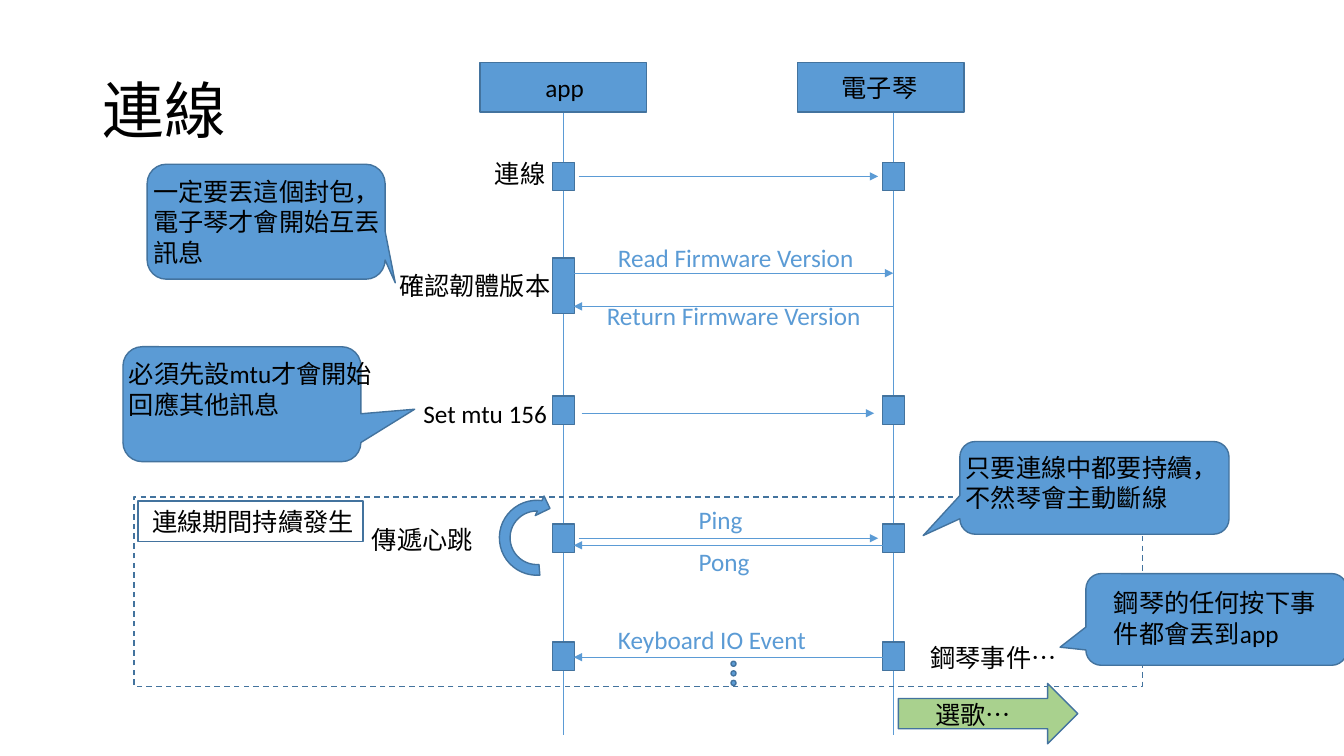
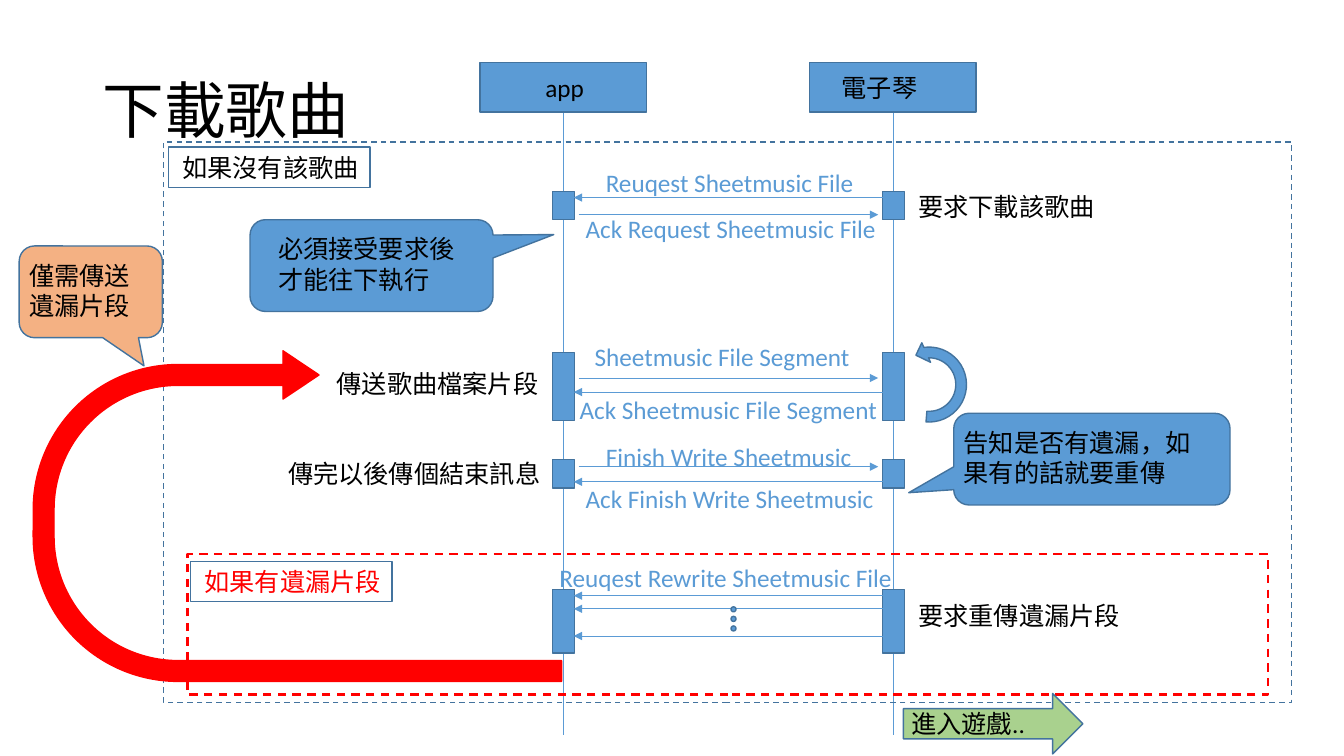
"""Build two sequence diagrams of an app talking to an electronic piano."""
from dataclasses import dataclass
from lxml.etree import SubElement
from pptx import Presentation
from pptx.dml.color import RGBColor
from pptx.enum.dml import MSO_LINE
from pptx.enum.shapes import MSO_CONNECTOR, MSO_SHAPE as SHAPE
from pptx.enum.text import MSO_ANCHOR, MSO_AUTO_SIZE
from pptx.oxml.ns import qn
from pptx.util import Inches, Pt


@dataclass(frozen=True)
class Theme:
    """Colours, font and sizes used by both slides."""
    blue: str = "5B9BD5"
    edge: str = "43739E"
    green: str = "A9D18E"
    orange: str = "F4B183"
    red: str = "FF0000"
    black: str = "000000"
    font: str = "Calibri"
    title: int = 44
    body: int = 18
    hairline: float = 0.5
    outline: float = 1
    heavy: float = 1.5


THEME = Theme()
APP, PIANO = 5.59, 8.86
BOTH = (APP, PIANO)
SEND, SEND_FULL, SEND_MTU = (5.74, 8.71), (APP, PIANO), (5.77, 8.67)
REPLY = (PIANO, 5.69)
LOOP_ADJ = (0.125, 11.423, 204.577, 90.778, 0.125)

# frames: box, colour, weight; tags: text, text left, box, colour
# bars: top, height, columns; arrows: y, span
# messages and steps: text, left, top, width
# callouts: box, pointer, colour, text, text left, text top, text width, lines
SLIDES = [
    dict(
        title="連線",
        piano_left=7.91,
        frames=[((1.33, 4.93, 10, 1.88), THEME.edge, THEME.outline)],
        tags=[("連線期間持續發生", 1.41, (1.37, 4.97, 2.23, 0.4), THEME.black)],
        bars=[(1.61, 0.28, BOTH), (2.56, 0.55, (APP,)), (3.93, 0.28, BOTH),
              (5.2, 0.28, BOTH), (6.37, 0.28, BOTH)],
        arrows=[(1.75, SEND), (2.71, SEND_FULL), (3.04, REPLY), (4.1, SEND_MTU),
                (5.34, SEND), (5.41, REPLY), (6.52, REPLY)],
        messages=[("Read Firmware Version", 6.03, 2.36, 2.61),
                  ("Return Firmware Version", 5.92, 2.93, 2.83),
                  ("Ping", 6.83, 4.95, 2),
                  ("Pong", 6.83, 5.37, 2.26),
                  ("Keyboard IO Event", 6.03, 6.14, 2.42)],
        steps=[("連線", 4.81, 1.52, 0.77),
               ("確認韌體版本", 3.86, 2.63, 1.72),
               ("Set mtu 156", 4.1, 3.9, 1.49),
               ("傳遞心跳", 3.59, 5.15, 1.33),
               ("鋼琴事件…", 9.13, 6.32, 2.99)],
        loop=((4.9, 4.91), 294.1, False),
        resend=None,
        callouts=[
            ((1.46, 1.63, 2.36, 1.14), (0.543, 0.532), THEME.blue,
             "一定要丟這個封包，電子琴才會開始互丟訊息", 1.42, 1.7, 2.61, 3),
            ((1.22, 3.44, 2.36, 1.14), (0.726, 0.044), THEME.blue,
             "必須先設mtu才會開始回應其他訊息", 1.18, 3.51, 2.61, 2),
            ((9.52, 4.38, 2.67, 0.92), (-0.636, 0.514), THEME.blue,
             "只要連線中都要持續，不然琴會主動斷線", 9.48, 4.44, 2.61, 2),
            ((10.77, 5.69, 2.59, 0.91), (-0.599, 0.303), THEME.blue,
             "鋼琴的任何按下事件都會丟到app", 10.95, 5.78, 2.41, 2),
        ],
        dots_top=6.56,
        next_step=((8.91, 6.78), ("選歌…", 9.18, 6.89, 1.84)),
    ),
    dict(
        title="下載歌曲",
        piano_left=8.03,
        frames=[((1.62, 1.41, 11.19, 5.56), THEME.edge, THEME.outline),
                ((1.86, 5.5, 10.72, 1.39), THEME.red, THEME.heavy)],
        tags=[("如果沒有該歌曲", 1.71, (1.67, 1.46, 2, 0.4), THEME.black),
              ("如果有遺漏片段", 1.93, (1.89, 5.57, 2, 0.4), THEME.red)],
        bars=[(1.9, 0.28, BOTH), (3.5, 0.67, BOTH), (4.56, 0.28, BOTH),
              (5.85, 0.63, BOTH)],
        arrows=[(1.96, REPLY), (2.13, SEND), (3.75, SEND), (3.89, REPLY),
                (4.63, SEND), (4.78, REPLY), (5.91, REPLY), (6.04, REPLY),
                (6.31, REPLY)],
        messages=[("Reuqest Sheetmusic File", 5.91, 1.61, 2.99),
                  ("Ack Request Sheetmusic File", 5.71, 2.07, 3.27),
                  ("Sheetmusic File Segment", 5.8, 3.34, 2.83),
                  ("Ack Sheetmusic File Segment", 5.65, 3.86, 3.27),
                  ("Finish Write Sheetmusic", 5.91, 4.33, 2.99),
                  ("Ack Finish Write Sheetmusic", 5.71, 4.75, 3.27),
                  ("Reuqest Rewrite Sheetmusic File", 5.45, 5.53, 3.59)],
        steps=[("要求下載該歌曲", 9.01, 1.85, 2.2),
               ("傳送歌曲檔案片段", 3.24, 3.61, 2.25),
               ("傳完以後傳個結束訊息", 2.76, 4.5, 2.83),
               ("要求重傳遺漏片段", 9.01, 5.91, 2.42)],
        loop=((8.79, 3.39), 65.9, True),
        resend=(1.31, 2.5, 3.28, 5.24),
        callouts=[
            ((2.48, 2.18, 2.41, 0.91), (0.75, -0.338), THEME.blue,
             "必須接受要求後才能往下執行", 2.66, 2.27, 2.02, 2),
            ((9.46, 4.1, 2.74, 0.91), (-0.663, 0.366), THEME.blue,
             "告知是否有遺漏，如果有的話就要重傳", 9.46, 4.19, 2.53, 2),
            ((0.19, 2.44, 1.42, 0.91), (0.372, 0.808), THEME.orange,
             "僅需傳送遺漏片段", 0.19, 2.53, 1.3, 2),
        ],
        dots_top=6.02,
        next_step=((8.96, 6.88), ("進入遊戲..", 8.94, 6.98, 2.42)),
    ),
]


def rgb(colour):
    """Turn a hex colour into an RGBColor."""
    return RGBColor.from_string(colour)


def draw(shapes, kind, box, fill=None, line=THEME.edge, weight=THEME.outline, adj=()):
    """Add an outlined preset shape, filled if a colour is given."""
    shape = shapes.add_shape(kind, *map(Inches, box))
    shape.shadow.inherit = False
    if fill:
        shape.fill.solid()
        shape.fill.fore_color.rgb = rgb(fill)
    else:
        shape.fill.background()
    shape.line.color.rgb = rgb(line)
    shape.line.width = Pt(weight)
    for index, value in enumerate(adj):
        shape.adjustments[index] = value
    return shape


def write(shapes, text, left, top, width, colour=THEME.black, lines=1,
          height=None, size=THEME.body):
    """Add a wrapped text box whose height follows its number of lines."""
    height = height or 0.1 + 0.303 * lines
    frame = shapes.add_textbox(*map(Inches, (left, top, width, height))).text_frame
    frame.word_wrap = True
    frame.auto_size = MSO_AUTO_SIZE.SHAPE_TO_FIT_TEXT
    frame.text = text
    font = frame.paragraphs[0].runs[0].font
    font.name, font.size, font.color.rgb = THEME.font, Pt(size), rgb(colour)
    return frame


def connect(shapes, start, end, arrow=True):
    """Add a thin straight line, with an arrowhead unless told otherwise."""
    line = shapes.add_connector(MSO_CONNECTOR.STRAIGHT, *map(Inches, start + end))
    line.line.color.rgb = rgb(THEME.blue)
    line.line.width = Pt(THEME.hairline)
    if arrow:
        SubElement(line.line._get_or_add_ln(), qn("a:tailEnd"), type="triangle")
    SubElement(line.element.spPr, qn("a:effectLst"))


def add_base(shapes, content):
    """Add the title, the participants and their lifelines."""
    title = write(shapes, content["title"], 0.92, 0.4, 11.5, height=1.45,
                  size=THEME.title)
    title.auto_size = MSO_AUTO_SIZE.NONE
    title.vertical_anchor = MSO_ANCHOR.MIDDLE
    title.paragraphs[0].line_spacing = 0.9
    participants = [("app", 4.76, 5.31, APP),
                    ("電子琴", content["piano_left"], 8.25, PIANO)]
    for name, head_left, name_left, column in participants:
        draw(shapes, SHAPE.RECTANGLE, (head_left, 0.62, 1.65, 0.49), THEME.blue)
        write(shapes, name, name_left, 0.67, 0.99)
        connect(shapes, (column, 1.12), (column, 7.29), arrow=False)


def add_sequence(shapes, content):
    """Add the frames, activation bars, arrows and their labels."""
    for box, colour, weight in content["frames"]:
        frame = draw(shapes, SHAPE.RECTANGLE, box, line=colour, weight=weight)
        frame.line.dash_style = MSO_LINE.DASH
    for text, left, box, colour in content["tags"]:
        draw(shapes, SHAPE.RECTANGLE, box)
        write(shapes, text, left, box[1], box[2] + 0.08, colour)
    for top, height, columns in content["bars"]:
        for column in columns:
            draw(shapes, SHAPE.RECTANGLE, (column - 0.11, top, 0.22, height), THEME.blue)
    for y, (start, end) in content["arrows"]:
        connect(shapes, (start, y), (end, y))
    for message in content["messages"]:
        write(shapes, *message, colour=THEME.blue)
    for step in content["steps"]:
        write(shapes, *step)
    dots = shapes.add_group_shape().shapes
    for index in range(3):
        dot_top = content["dots_top"] + index * 0.095
        draw(dots, SHAPE.OVAL, (7.25, dot_top, 0.05, 0.05), THEME.blue)


def add_remarks(shapes, content):
    """Add the loop, the resend arrow, the callouts and the next step."""
    corner, angle, mirrored = content["loop"]
    loop = draw(shapes, SHAPE.CIRCULAR_ARROW, corner + (0.85, 0.85), THEME.blue,
                adj=LOOP_ADJ)
    loop.rotation = angle
    if mirrored:
        loop.element.spPr.find(qn("a:xfrm")).set("flipH", "1")
    if content["resend"]:
        resend = draw(shapes, SHAPE.U_TURN_ARROW, content["resend"], THEME.red,
                      THEME.red, adj=(0.063, 0.073, 0.109, 0.438, 0.541))
        resend.rotation = 270
    for box, pointer, fill, text, left, top, width, lines in content["callouts"]:
        draw(shapes, SHAPE.ROUNDED_RECTANGULAR_CALLOUT, box, fill,
             adj=pointer + (0.167,))
        write(shapes, text, left, top, width, lines=lines)
    corner, label = content["next_step"]
    draw(shapes, SHAPE.RIGHT_ARROW, corner + (1.78, 0.6), THEME.green)
    write(shapes, *label)


deck = Presentation()
deck.slide_width, deck.slide_height = Inches(13.33), Inches(7.5)
for content in SLIDES:
    shapes = deck.slides.add_slide(deck.slide_layouts[6]).shapes
    add_base(shapes, content)
    add_sequence(shapes, content)
    add_remarks(shapes, content)
deck.save("out.pptx")
